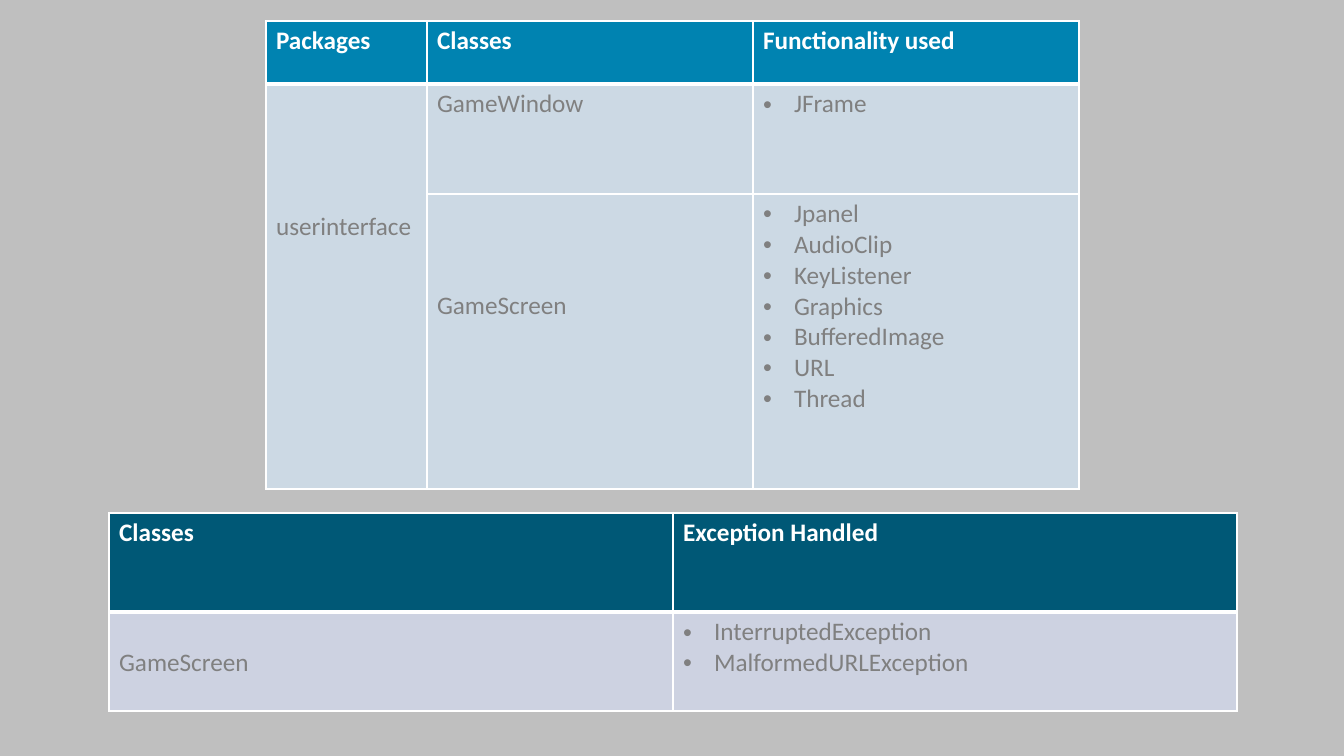
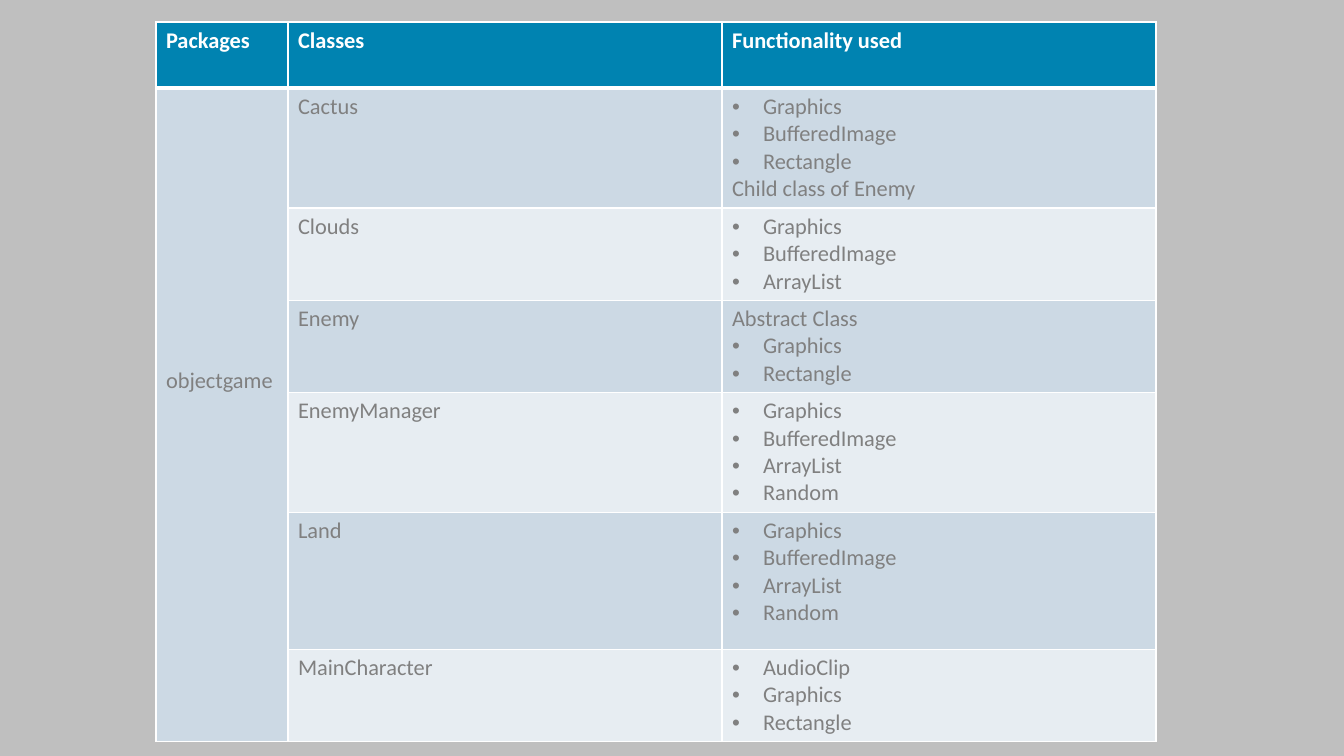
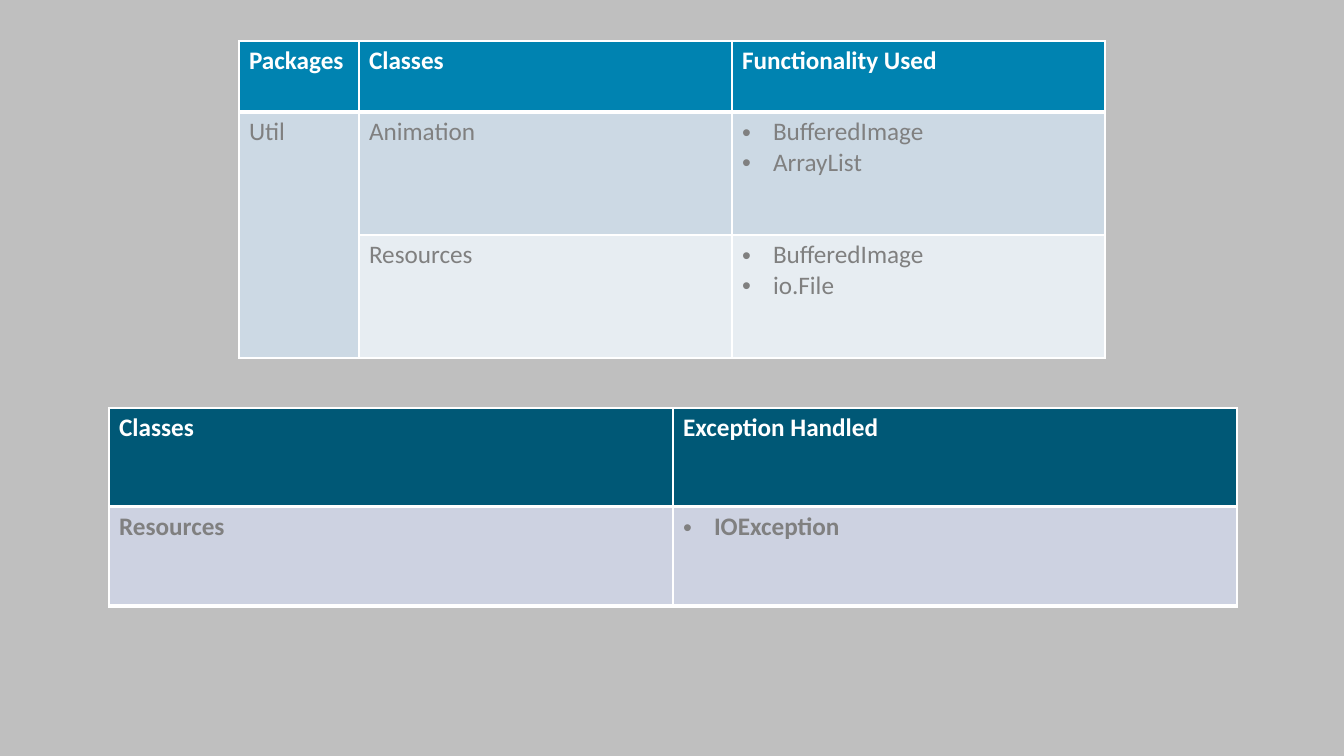
"""Build three slides of tables on the packages, classes and exceptions of a game."""
from dataclasses import dataclass
from itertools import cycle

from lxml.etree import SubElement
from pptx import Presentation
from pptx.dml.color import RGBColor
from pptx.oxml.ns import qn
from pptx.util import Emu, Pt

FONT = "Calibri"
BACKGROUND = RGBColor(0xBF, 0xBF, 0xBF)
WHITE = RGBColor(0xFF, 0xFF, 0xFF)
GREY = RGBColor(0x80, 0x80, 0x80)
BLUE = RGBColor(0x00, 0x83, 0xB1)
NAVY = RGBColor(0x00, 0x58, 0x76)
PALE_BLUE = RGBColor(0xCC, 0xD9, 0xE4)
PALE_GREY = RGBColor(0xE7, 0xED, 0xF2)
LILAC = RGBColor(0xCD, 0xD2, 0xE1)
CELL_TOP = 5
BULLET_INDENT = 31
EXCEPTION_COLUMNS = (564, 564)
EXCEPTION_ROW = 99


@dataclass
class RowStyle:
    fill: RGBColor
    color: RGBColor = GREY
    bold: bool = False
    bottom: int = 1


PACKAGE_HEADER = RowStyle(BLUE, WHITE, True, 3)
EXCEPTION_HEADER = RowStyle(NAVY, WHITE, True, 3)
EXCEPTION_BODY = RowStyle(LILAC)


def px(pixels):
    return Emu(round(pixels * 914400 / 100.8))


def plain(text, drop=0):
    return [(text, False)], drop


def bullets(*texts, before=(), after=()):
    lines = [(text, False) for text in before]
    lines += [(text, True) for text in texts]
    return lines + [(text, False) for text in after], 0


def add_slide(presentation):
    slide = presentation.slides.add_slide(presentation.slide_layouts[6])
    slide.background.fill.solid()
    slide.background.fill.fore_color.rgb = BACKGROUND
    return slide


def set_borders(cell, bottom):
    properties = cell._tc.get_or_add_tcPr()
    for side, width in zip("LRTB", (1, 1, 1, bottom)):
        line = SubElement(properties, qn(f"a:ln{side}"), w=str(Pt(width)))
        fill = SubElement(line, qn("a:solidFill"))
        SubElement(fill, qn("a:srgbClr"), val=str(WHITE))


def set_bullet(paragraph):
    properties = paragraph._p.get_or_add_pPr()
    properties.set("marL", str(px(BULLET_INDENT)))
    properties.set("indent", str(-px(BULLET_INDENT)))
    SubElement(properties, qn("a:buFont"), typeface="Arial")
    SubElement(properties, qn("a:buChar"), char="•")


def style_cell(cell, style):
    set_borders(cell, style.bottom)
    cell.fill.solid()
    cell.fill.fore_color.rgb = style.fill


def write_cell(cell, content, style, size):
    lines, drop = content
    cell.margin_top = px(CELL_TOP + drop)
    frame = cell.text_frame
    for index, (text, bulleted) in enumerate(lines):
        paragraph = frame.add_paragraph() if index else frame.paragraphs[0]
        if bulleted:
            set_bullet(paragraph)
        run = paragraph.add_run()
        run.text = text
        run.font.name = FONT
        run.font.size = Pt(size)
        run.font.bold = style.bold
        run.font.color.rgb = style.color


def add_table(slide, left, top, columns, heights, rows, styles, size=18):
    frame = slide.shapes.add_table(len(rows), len(columns), px(left), px(top),
                                   px(sum(columns)), px(sum(heights)))
    table = frame.table
    table.first_row = table.horz_banding = False
    for column, width in zip(table.columns, columns):
        column.width = px(width)
    for row, height, contents, style in zip(table.rows, heights, rows, styles):
        row.height = px(height)
        for cell, content in zip(row.cells, contents):
            style_cell(cell, style)
            if content:
                write_cell(cell, content, style, size)
    return table


def add_package_table(slide, left, top, columns, heights, titles, package,
                      classes, bands, size=18):
    rows = [[plain(title) for title in titles]]
    for index, (name, functionality) in enumerate(classes):
        rows.append([None if index else package, name, functionality])
    fills = cycle(bands)
    styles = [PACKAGE_HEADER] + [RowStyle(next(fills)) for _ in classes]
    table = add_table(slide, left, top, columns, heights, rows, styles, size)
    table.cell(1, 0).merge(table.cell(len(classes), 0))


def add_exception_table(slide, top, rows, styles):
    add_table(slide, 109, top, EXCEPTION_COLUMNS, [EXCEPTION_ROW] * len(rows),
              rows, styles)


def main():
    presentation = Presentation()
    presentation.slide_width, presentation.slide_height = px(1344), px(756)
    titles = ("Packages", "Classes", "Functionality used")
    exception_titles = [plain("Classes"), plain("Exception Handled")]

    slide = add_slide(presentation)
    add_package_table(
        slide, 266, 21, (161, 326, 326), (63, 110, 295), titles,
        plain("userinterface", 123),
        [(plain("GameWindow"), bullets("JFrame")),
         (plain("GameScreen", 92),
          bullets("Jpanel", "AudioClip", "KeyListener", "Graphics",
                  "BufferedImage", "URL", "Thread"))],
        (PALE_BLUE,))
    add_exception_table(
        slide, 513,
        [exception_titles,
         [plain("GameScreen", 31),
          bullets("InterruptedException", "MalformedURLException")]],
        (EXCEPTION_HEADER, EXCEPTION_BODY))

    slide = add_slide(presentation)
    add_package_table(
        slide, 156, 22, (132, 434, 434), (66, 120, 92, 92, 120, 137, 92), titles,
        plain("objectgame", 274),
        [(plain("Cactus"), bullets("Graphics", "BufferedImage", "Rectangle",
                                   after=["Child class of Enemy"])),
         (plain("Clouds"), bullets("Graphics", "BufferedImage", "ArrayList")),
         (plain("Enemy"), bullets("Graphics", "Rectangle",
                                  before=["Abstract Class"])),
         (plain("EnemyManager"),
          bullets("Graphics", "BufferedImage", "ArrayList", "Random")),
         (plain("Land"),
          bullets("Graphics", "BufferedImage", "ArrayList", "Random")),
         (plain("MainCharacter"),
          bullets("AudioClip", "Graphics", "Rectangle"))],
        (PALE_BLUE, PALE_GREY), size=16)

    slide = add_slide(presentation)
    add_package_table(
        slide, 239, 41, (120, 373, 373), (71, 123, 123),
        ("Packages", "Classes", "Functionality Used"), plain("Util"),
        [(plain("Animation"), bullets("BufferedImage", "ArrayList")),
         (plain("Resources"), bullets("BufferedImage", "io.File"))],
        (PALE_BLUE, PALE_GREY))
    add_exception_table(slide, 408, [exception_titles], [EXCEPTION_HEADER])
    add_exception_table(slide, 408 + EXCEPTION_ROW,
                        [[plain("Resources"), bullets("IOException")]],
                        [RowStyle(LILAC, bold=True, bottom=3)])

    presentation.save("out.pptx")


main()
